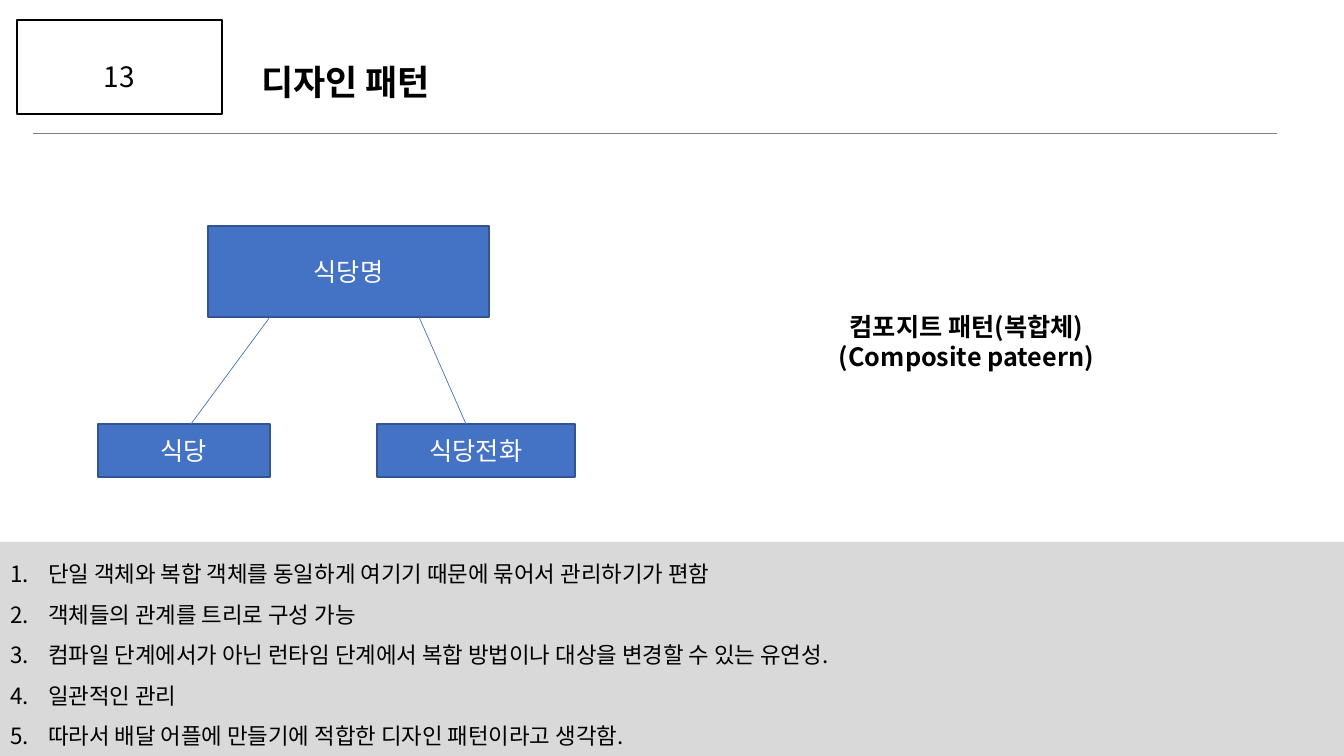
from lxml import etree
from pptx import Presentation
from pptx.dml.color import RGBColor
from pptx.enum.shapes import MSO_CONNECTOR as CONN, MSO_SHAPE as SHAPE
from pptx.enum.text import MSO_ANCHOR as ANCHOR, MSO_AUTO_SIZE as AUTO, PP_ALIGN as ALIGN
from pptx.oxml.ns import qn
from pptx.util import Pt

SCALE = 914400 / 100.8
FONT = "Noto Sans CJK KR"
BLACK = RGBColor(0x00, 0x00, 0x00)
WHITE = RGBColor(0xFF, 0xFF, 0xFF)
GRAY = RGBColor(0x80, 0x80, 0x80)
PANEL = RGBColor(0xD9, 0xD9, 0xD9)
BLUE = RGBColor(0x44, 0x72, 0xC4)
NAVY = RGBColor(0x32, 0x54, 0x91)

POINTS = [
    "단일 객체와 복합 객체를 동일하게 여기기 때문에 묶어서 관리하기가 편함",
    "객체들의 관계를 트리로 구성 가능",
    "컴파일 단계에서가 아닌 런타임 단계에서 복합 방법이나 대상을 변경할 수 있는 유연성.",
    "일관적인 관리",
    "따라서 배달 어플에 만들기에 적합한 디자인 패턴이라고 생각함.",
]


def px(n):
    return round(n * SCALE)


def emu(box):
    return [px(n) for n in box]


def write(sp, lines, size, color=BLACK, bold=False, align=ALIGN.LEFT,
          anchor=ANCHOR.MIDDLE, spacing=1.0, top=5):
    """Fill a shape with formatted paragraphs."""
    tf = sp.text_frame
    frame = {"word_wrap": True, "auto_size": AUTO.NONE, "vertical_anchor": anchor,
             "margin_left": px(10), "margin_right": px(10),
             "margin_top": px(top), "margin_bottom": px(5)}
    for name, value in frame.items():
        setattr(tf, name, value)
    for i, line in enumerate(lines):
        p = tf.add_paragraph() if i else tf.paragraphs[0]
        p.alignment, p.line_spacing = align, spacing
        r = p.add_run()
        r.text = line
        for name, value in {"size": Pt(size), "bold": bold, "name": FONT}.items():
            setattr(r.font, name, value)
        r.font.color.rgb = color
        etree.SubElement(r.font._element, qn("a:ea"), typeface=FONT)
    return tf


def add_rect(s, box, fill=None, line=None, width=1):
    sp = s.shapes.add_shape(SHAPE.RECTANGLE, *emu(box))
    sp.shadow.inherit = False
    if fill is None:
        sp.fill.background()
    else:
        sp.fill.solid()
        sp.fill.fore_color.rgb = fill
    if line is None:
        sp.line.fill.background()
    else:
        sp.line.color.rgb = line
        sp.line.width = Pt(width)
    return sp


def add_line(s, x1, y1, x2, y2, color):
    cx = s.shapes.add_connector(CONN.STRAIGHT, *emu((x1, y1, x2, y2)))
    cx.line.color.rgb = color
    cx.line.width = Pt(0.5)
    etree.SubElement(cx._element.spPr, qn("a:effectLst"))


def add_header(s, x, y, w, h):
    # Page number frame, title and rule
    frame = add_rect(s, (x + 17, y + 20, 205, 94), line=BLACK, width=2)
    write(frame, ["13"], 20, align=ALIGN.CENTER, top=23)
    title = s.shapes.title
    place = zip(("left", "top", "width", "height"), emu((x + 251, y + 54, 754, 54)))
    for name, value in place:
        setattr(title, name, value)
    write(title, ["디자인 패턴"], 25, bold=True)
    add_line(s, x + 33, y + h, x + w - 67, y + h, GRAY)


def add_tree(s, x, y, w, h):
    # Parent node, its two children and the branches
    parent_h, child_h = 91, 53
    child_y = y + h - child_h
    nodes = [("식당명", (x + 110, y, 281, parent_h)),
             ("식당", (x, child_y, 172, child_h)),
             ("식당전화", (x + w - 198, child_y, 198, child_h))]
    for label, box in nodes:
        node = add_rect(s, box, BLUE, NAVY)
        write(node, [label], 18, WHITE, align=ALIGN.CENTER)
    for start, end in ((172, 93), (321, 368)):
        add_line(s, x + start, y + parent_h, x + end, child_y, BLUE)


def add_caption(s, *box):
    # Pattern name
    sp = s.shapes.add_textbox(*emu(box))
    write(sp, ["컴포지트 패턴(복합체)", "(Composite pateern)"], 18, bold=True,
          align=ALIGN.CENTER, anchor=ANCHOR.TOP, spacing=Pt(21.5))


def add_points(s, *box):
    # Numbered advantages
    sp = add_rect(s, box, PANEL)
    tf = write(sp, POINTS, 16, anchor=ANCHOR.TOP, spacing=Pt(28.9))
    for p in tf.paragraphs:
        pPr = p._p.get_or_add_pPr()
        pPr.set("marL", str(px(38)))
        pPr.set("indent", str(px(-38)))
        etree.SubElement(pPr, qn("a:buFont"), typeface="+mj-lt")
        etree.SubElement(pPr, qn("a:buAutoNum"), type="arabicPeriod")


def main():
    prs = Presentation()
    prs.slide_width, prs.slide_height = px(1344), px(756)
    s = prs.slides.add_slide(prs.slide_layouts[5])
    add_header(s, 0, 0, 1344, 133)
    add_points(s, 0, 542, 1344, 214)
    add_caption(s, 731, 306, 471, 72)
    add_tree(s, 98, 226, 477, 251)
    prs.save("out.pptx")


if __name__ == "__main__":
    main()
